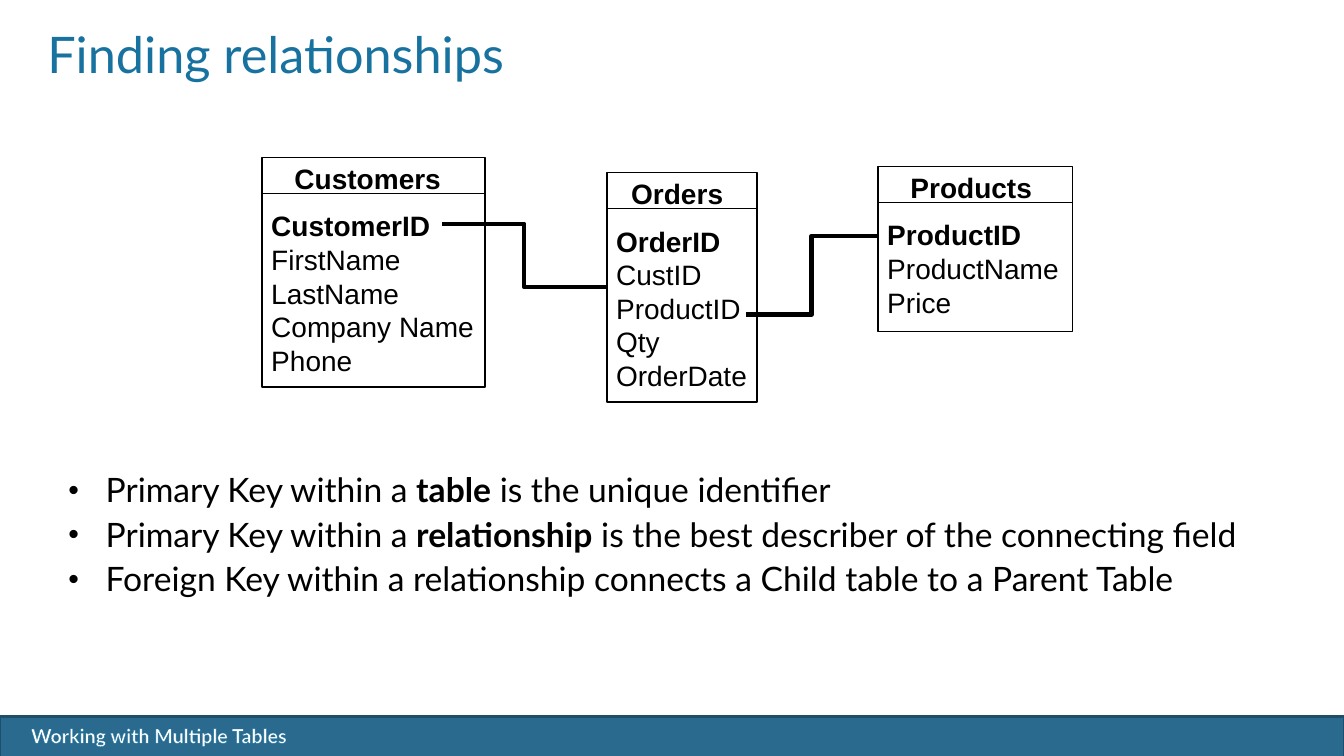
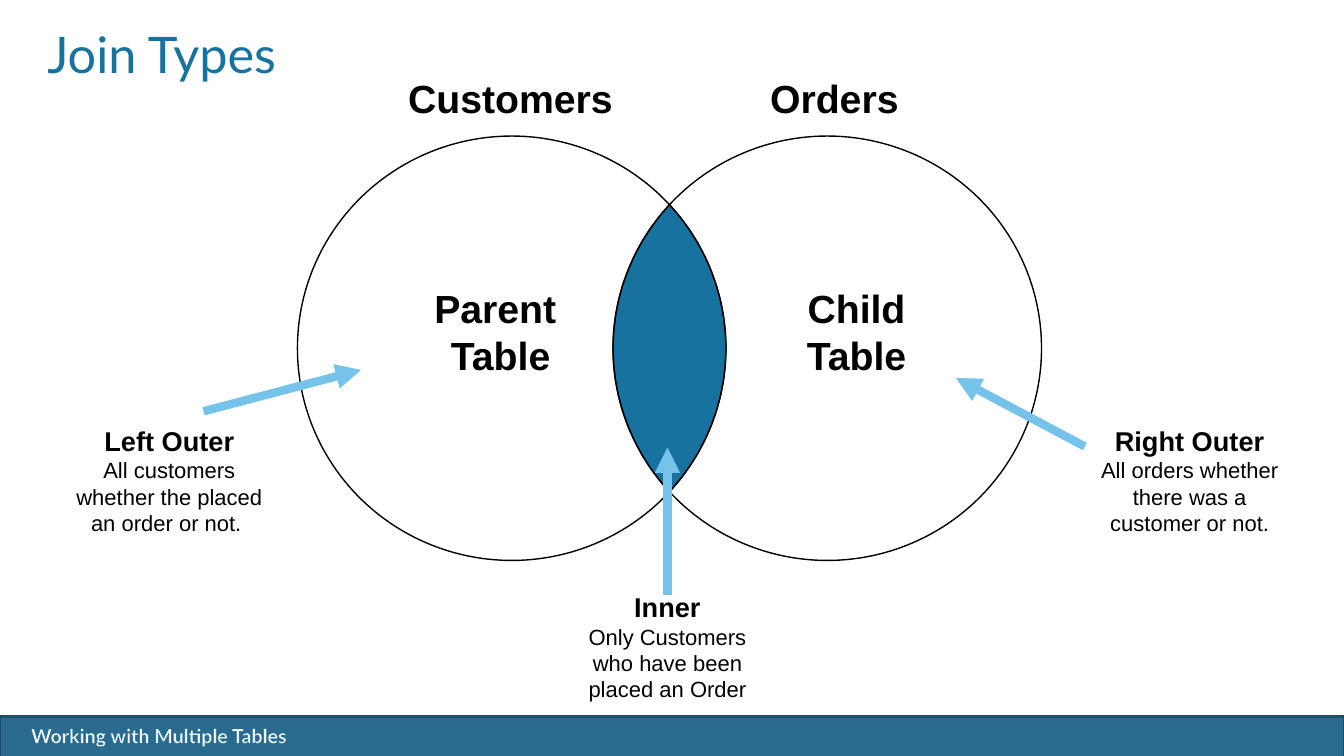
import math

import lxml.etree
import pptx
import pptx.dml.color
import pptx.enum.shapes
import pptx.enum.text
import pptx.oxml.ns
import pptx.util

Inches = pptx.util.Inches
Pt = pptx.util.Pt
RGBColor = pptx.dml.color.RGBColor
SHAPE = pptx.enum.shapes.MSO_SHAPE
CONNECTOR = pptx.enum.shapes.MSO_CONNECTOR
ALIGN = pptx.enum.text.PP_ALIGN
qn = pptx.oxml.ns.qn

BLACK = RGBColor(0x00, 0x00, 0x00)
WHITE = RGBColor(0xFF, 0xFF, 0xFF)
BLUE = RGBColor(0x18, 0x72, 0xA0)
BAND_FILL = RGBColor(0x29, 0x6A, 0x8E)
BAND_LINE = RGBColor(0x1E, 0x4E, 0x69)
SKY = RGBColor(0x75, 0xC3, 0xEA)
TITLE_FONT = "Lato"
DIAGRAM_FONT = "Arial"


def add_text(frame, lines, font, color, align=ALIGN.LEFT, wrap=True, insets=(0.1, 0.05, 0.1, 0.05)):
    frame.word_wrap = wrap
    frame.vertical_anchor = pptx.enum.text.MSO_ANCHOR.TOP
    frame.margin_left, frame.margin_top, frame.margin_right, frame.margin_bottom = map(Inches, insets)
    for index, runs in enumerate(lines):
        paragraph = frame.add_paragraph() if index else frame.paragraphs[0]
        paragraph.alignment = align
        for text, size, bold in runs:
            run = paragraph.add_run()
            run.text = text
            run.font.name = font
            run.font.size = Pt(size)
            run.font.bold = bold
            run.font.color.rgb = color
    return frame.paragraphs


def add_line(slide, kind, start, end, color, width):
    connector = slide.shapes.add_connector(kind, *map(Inches, start + end))
    connector.line.color.rgb = color
    connector.line.width = Pt(width)
    lxml.etree.SubElement(connector.element.spPr, qn("a:effectLst"))
    return connector


presentation = pptx.Presentation()
presentation.slide_width = Inches(13.33)
presentation.slide_height = Inches(7.5)
layout = presentation.slide_layouts[6]

slides = []
for title in ("Finding relationships", "Join Types"):
    slide = presentation.slides.add_slide(layout)
    title_box = slide.shapes.add_textbox(Inches(0.31), Inches(0.24), Inches(12.75), Inches(0.98))
    title_lines = [[(title, 36, False)]]
    paragraphs = add_text(title_box.text_frame, title_lines, TITLE_FONT, BLUE, insets=(0.16, 0.1, 0.16, 0.1))
    paragraphs[0].line_spacing = Pt(35)
    slides.append(slide)
relationships, joins = slides

band = relationships.shapes.add_shape(SHAPE.RECTANGLE, 0, Inches(7.11), Inches(13.33), Inches(0.4))
band.shadow.inherit = False
band.fill.solid()
band.fill.fore_color.rgb = BAND_FILL
band.line.color.rgb = BAND_LINE
band.line.width = Pt(2)

footer = relationships.shapes.add_textbox(Inches(0.21), Inches(7.13), Inches(6.06), Inches(0.34))
footer_lines = [[("Working with Multiple Tables", 14, True)]]
paragraphs = add_text(footer.text_frame, footer_lines, TITLE_FONT, WHITE)
letter_outline = lxml.etree.Element(qn("a:ln"), w=str(Pt(0.8)))
outline_fill = lxml.etree.SubElement(letter_outline, qn("a:solidFill"))
lxml.etree.SubElement(outline_fill, qn("a:srgbClr"), val=str(BLUE))
paragraphs[0].runs[0]._r.get_or_add_rPr().insert(0, letter_outline)

for shared in (band, footer):
    layout.shapes.element.append(shared.element)

HEADER_HEIGHT = 0.36
FIELD_HEIGHT = 0.32
TABLE_BASE_HEIGHT = 0.68
tables = [
    (2.6, 1.56, 2.21, 0.23, "Customers", ["CustomerID", "FirstName", "LastName", "Company Name", "Phone"]),
    (6.02, 1.71, 1.49, 0.15, "Orders", ["OrderID", "CustID", "ProductID", "Qty", "OrderDate"]),
    (8.71, 1.65, 1.93, 0.23, "Products", ["ProductID", "ProductName", "Price"]),
]
for left, top, width, name_indent, name, fields in tables:
    height = TABLE_BASE_HEIGHT + FIELD_HEIGHT * len(fields)
    table_box = relationships.shapes.add_shape(SHAPE.RECTANGLE, *map(Inches, (left, top, width, height)))
    table_box.shadow.inherit = False
    table_box.fill.background()
    table_box.line.color.rgb = BLACK
    table_box.line.width = Pt(1)
    key = fields[0]
    lines = [[(text, 20, text in (name, key))] for text in [name] + fields]
    paragraphs = add_text(table_box.text_frame, lines, DIAGRAM_FONT, BLACK, insets=(0.09, 0.04, 0, 0.04))
    paragraphs[0].space_after = Pt(10)
    paragraphs[0]._p.get_or_add_pPr().set("indent", str(Inches(name_indent)))
    header_bottom = top + HEADER_HEIGHT
    add_line(relationships, CONNECTOR.STRAIGHT, (left, header_bottom), (left + width, header_bottom), BLACK, 1)

customer_link = ((6.02, 2.85), (4.38, 2.22))
product_link = ((8.7, 2.34), (7.4, 3.12))
for start, end in (customer_link, product_link):
    add_line(relationships, CONNECTOR.ELBOW, start, end, BLACK, 3)

key_notes = [
    [("Primary Key within a ", 24, False), ("table", 24, True), (" is the unique identifier", 24, False)],
    [("Primary Key within a ", 24, False), ("relationship", 24, True),
     (" is the best describer of the connecting field", 24, False)],
    [("Foreign Key within a relationship connects a Child table to a Parent Table", 24, False)],
]
notes_box = relationships.shapes.add_textbox(Inches(0.58), Inches(4.65), Inches(12.37), Inches(1.36))
for paragraph in add_text(notes_box.text_frame, key_notes, TITLE_FONT, BLACK):
    paragraph.line_spacing = 0.9
    paragraph.space_before = Pt(5.9)
    properties = paragraph._p.get_or_add_pPr()
    properties.set("marL", str(Inches(0.37)))
    properties.set("indent", str(-Inches(0.37)))
    lxml.etree.SubElement(properties, qn("a:buSzPct"), val="90000")
    lxml.etree.SubElement(properties, qn("a:buFont"), typeface="Arial")
    lxml.etree.SubElement(properties, qn("a:buChar"), char="•")

CIRCLE_WIDTH = 4.25
CIRCLE_HEIGHT = 4.21
CIRCLE_TOP = 1.35
PARENT_LEFT = 2.95
CHILD_LEFT = 6.08
ARC_STEPS = 20

radius_x = CIRCLE_WIDTH / 2
radius_y = CIRCLE_HEIGHT / 2
center_y = CIRCLE_TOP + radius_y
crossing_angle = math.acos((CHILD_LEFT - PARENT_LEFT) / CIRCLE_WIDTH)
lens_points = []
for circle_left, middle_angle in ((PARENT_LEFT, 0), (CHILD_LEFT, math.pi)):
    for step in range(ARC_STEPS):
        angle = middle_angle + crossing_angle * (2 * step / ARC_STEPS - 1)
        x = circle_left + radius_x + radius_x * math.cos(angle)
        y = center_y + radius_y * math.sin(angle)
        lens_points.append((Inches(x), Inches(y)))
lens_builder = joins.shapes.build_freeform(*lens_points[0])
lens_builder.add_line_segments(lens_points[1:], close=True)
lens = lens_builder.convert_to_shape()
lens.fill.solid()
lens.fill.fore_color.rgb = BLUE

circles = []
for circle_left in (PARENT_LEFT, CHILD_LEFT):
    bounds = (circle_left, CIRCLE_TOP, CIRCLE_WIDTH, CIRCLE_HEIGHT)
    circle = joins.shapes.add_shape(SHAPE.OVAL, *map(Inches, bounds))
    circle.fill.background()
    circles.append(circle)
for shape in [lens] + circles:
    shape.shadow.inherit = False
    shape.line.color.rgb = BLACK
    shape.line.width = Pt(1)

circle_labels = [
    (3.95, 0.69, 2.3, 0.58, ALIGN.LEFT, True, ["Customers"]),
    (7.54, 0.69, 1.95, 0.58, ALIGN.LEFT, True, ["Orders"]),
    (4.19, 2.77, 1.55, 1.06, ALIGN.CENTER, False, ["Parent ", "Table"]),
    (7.89, 2.77, 1.21, 1.06, ALIGN.CENTER, False, ["Child", "Table"]),
]
for left, top, width, height, align, wrap, words in circle_labels:
    label_box = joins.shapes.add_textbox(*map(Inches, (left, top, width, height)))
    lines = [[(word, 28, True)] for word in words]
    add_text(label_box.text_frame, lines, DIAGRAM_FONT, BLACK, align, wrap)

join_types = [
    (0.58, 4.16, "Left Outer", "All customers whether the placed an order or not. ", (2.02, 4.08), (3.58, 3.67)),
    (5.52, 5.81, "Inner", "Only Customers who have been placed an Order", (6.62, 5.9), (6.62, 4.44)),
    (10.7, 4.16, "Right Outer", "All orders whether there was a customer or not.", (10.76, 4.43), (9.48, 3.75)),
]
for left, top, join_name, meaning, arrow_start, arrow_end in join_types:
    join_box = joins.shapes.add_textbox(Inches(left), Inches(top), Inches(2.2), Inches(1.21))
    lines = [[(join_name, 19.4, True)], [(meaning, 15.7, False)]]
    add_text(join_box.text_frame, lines, DIAGRAM_FONT, BLACK, ALIGN.CENTER)
    arrow = add_line(joins, CONNECTOR.STRAIGHT, arrow_start, arrow_end, SKY, 6)
    arrow_line = arrow.element.spPr.find(qn("a:ln"))
    lxml.etree.SubElement(arrow_line, qn("a:tailEnd"), type="triangle")

presentation.save("out.pptx")
